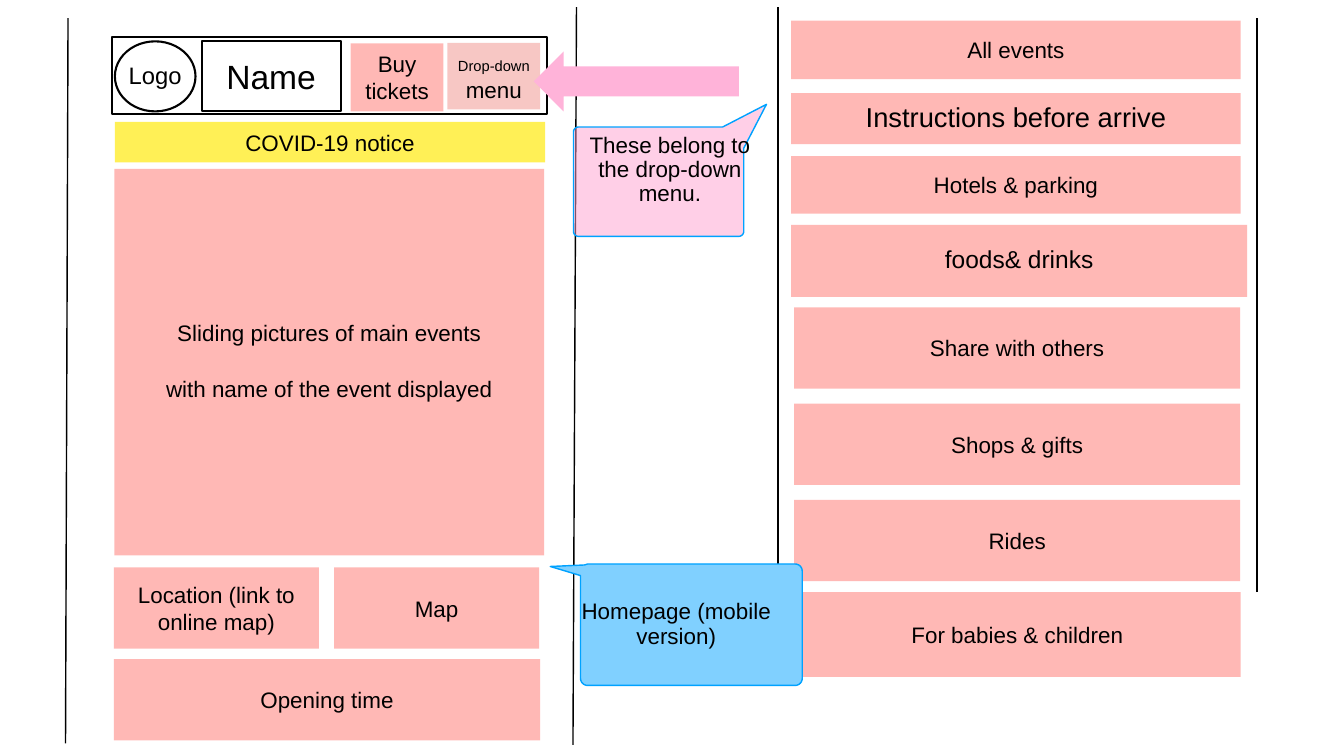
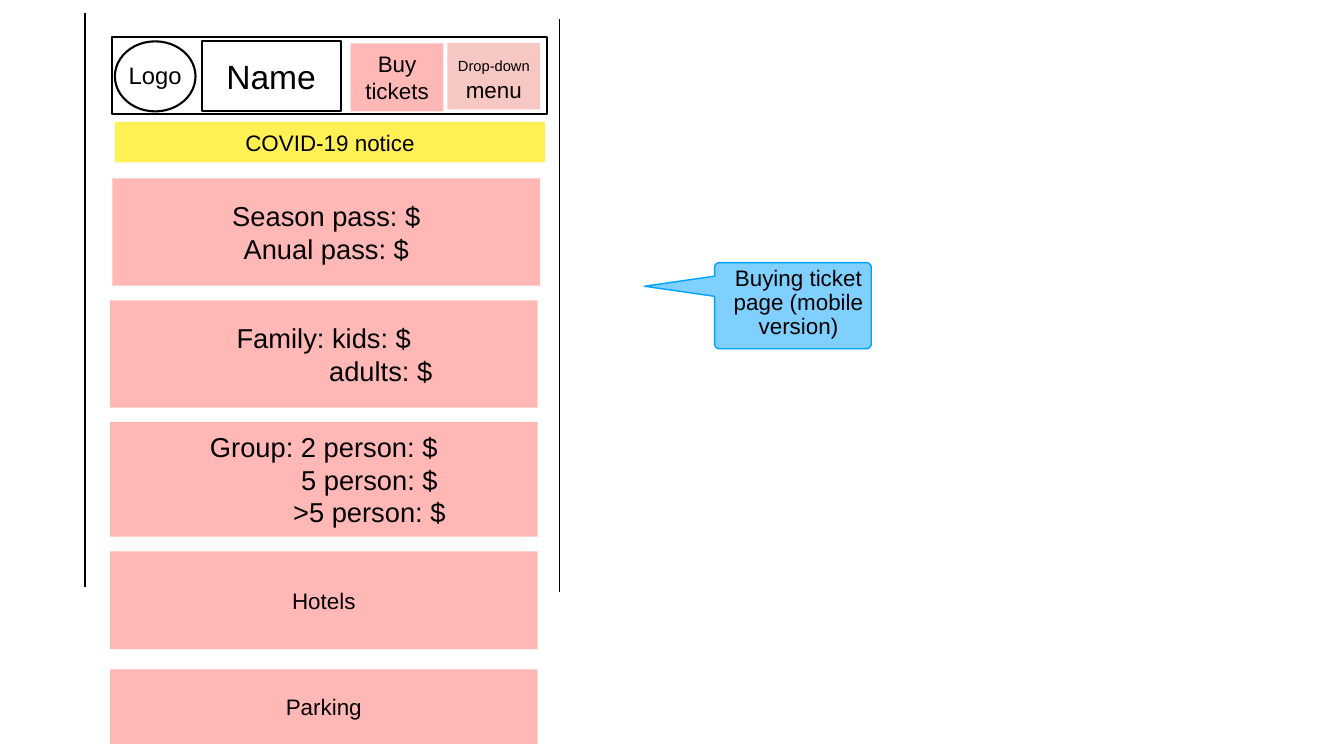
import math

import lxml.etree
import pptx
import pptx.dml.color
import pptx.enum.shapes
import pptx.enum.text
import pptx.oxml.ns
import pptx.util

Inches = pptx.util.Inches
Pt = pptx.util.Pt
SHAPE = pptx.enum.shapes.MSO_SHAPE
FONT = "Arial"
COLORS = {
    "ink": "000000",
    "panel": "FF7E79",
    "menu": "EF837E",
    "notice": "FFF056",
    "arrow": "FFB3D9",
    "page_note": "80D0FF",
    "menu_note": "FFA0D0",
    "note_line": "00A2FF",
}


def rgb(name):
    return pptx.dml.color.RGBColor.from_string(COLORS[name])


def sub(parent, tag, **attrs):
    return lxml.etree.SubElement(parent, pptx.oxml.ns.qn(tag), **attrs)


def paint(sp, fill=None, alpha=100, line=None, width=2):
    sp.shadow.inherit = False
    if fill:
        sp.fill.solid()
        sp.fill.fore_color.rgb = rgb(fill)
        if alpha < 100:
            color = sp.fill._xPr.find(".//" + pptx.oxml.ns.qn("a:srgbClr"))
            sub(color, "a:alpha", val=str(alpha * 1000))
    else:
        sp.fill.background()
    if line:
        sp.line.color.rgb = rgb(line)
        sp.line.width = Pt(width)
    else:
        sp.line.fill.background()


def format_run(r, size):
    r.font.name = FONT
    r.font.size = Pt(size)
    r.font.color.rgb = rgb("ink")


def write(sp, text, size=32, spacing=1.0, wrap=True):
    tf = sp.text_frame
    tf.text = text
    tf.word_wrap = wrap
    tf.vertical_anchor = pptx.enum.text.MSO_ANCHOR.MIDDLE
    tf.margin_left = tf.margin_right = Inches(0.06)
    tf.margin_top = tf.margin_bottom = Inches(0.06)
    for p in tf.paragraphs:
        p.alignment = pptx.enum.text.PP_ALIGN.CENTER
        p.line_spacing = spacing
        for r in p.runs:
            format_run(r, size)
    return tf


def add_preset(s, preset, box, **look):
    sp = s.shapes.add_shape(preset, *map(Inches, box))
    paint(sp, **look)
    return sp


def add_panel(s, box, text, size=32, spacing=1.0, fill="panel", alpha=55):
    sp = add_preset(s, SHAPE.RECTANGLE, box, fill=fill, alpha=alpha)
    return write(sp, text, size, spacing)


def add_rule(s, x1, y1, x2, y2):
    line = s.shapes.add_connector(
        pptx.enum.shapes.MSO_CONNECTOR.STRAIGHT, *map(Inches, (x1, y1, x2, y2)))
    line.line.color.rgb = rgb("ink")
    line.line.width = Pt(2)
    sub(line._element.spPr, "a:effectLst")


def round_corner(x, y, radius, start):
    angles = [math.radians(start + 15 * i) for i in range(7)]
    return [(x + radius * math.cos(a), y + radius * math.sin(a)) for a in angles]


def add_callout(s, body, corner, tail, text, fill, alpha=100, radius=0.1,
                keep_corner=False):
    left, top, right, bottom = body
    x1, x2 = left + radius, right - radius
    y1, y2 = top + radius, bottom - radius
    centers = {"tl": (x1, y1), "tr": (x2, y1), "br": (x2, y2), "bl": (x1, y2)}
    outline = []
    for i, (name, (x, y)) in enumerate(centers.items()):
        if name == corner:
            outline += tail
        if name != corner or keep_corner:
            outline += round_corner(x, y, radius, 180 + 90 * i)
    points = [(Inches(x), Inches(y)) for x, y in outline]
    builder = s.shapes.build_freeform(*points[0])
    builder.add_line_segments(points[1:], close=True)
    sp = builder.convert_to_shape()
    paint(sp, fill, alpha, "note_line")
    return write(sp, text, spacing=0.9)


def add_header(s):
    outline = {"line": "ink", "width": 3}
    add_preset(s, SHAPE.RECTANGLE, (2.23, 0.73, 8.63, 1.53), **outline)
    logo = add_preset(s, SHAPE.OVAL, (2.28, 0.82, 1.6, 1.39), **outline)
    write(logo, "Logo", 34, 0.9, wrap=False)
    name = add_preset(s, SHAPE.RECTANGLE, (4, 0.81, 2.76, 1.39), **outline)
    write(name, "Name", 48, 0.9, wrap=False).margin_top = Inches(0.16)
    add_panel(s, (6.96, 0.86, 1.84, 1.35), "Buy tickets")
    tf = add_panel(s, (8.88, 0.85, 1.84, 1.32), "Drop-down", 21,
                   fill="menu", alpha=45)
    r = tf.paragraphs[0].add_run()
    r.text = " menu"
    format_run(r, 32)
    add_panel(s, (2.28, 2.42, 8.54, 0.8), "COVID-19 notice",
              fill="notice", alpha=100)


def build_homepage(s):
    add_header(s)
    tf = add_panel(
        s, (2.27, 3.35, 8.53, 7.67),
        "Sliding pictures of main events\nwith name of the event displayed",
        spacing=0.9)
    tf.paragraphs[1].space_before = Pt(45)
    for i, text in enumerate(["Location (link to online map)", "Map"]):
        add_panel(s, (2.26 + 4.37 * i, 11.26, 4.07, 1.61), text)
    add_panel(s, (2.26, 13.08, 8.46, 1.61), "Opening time")

    add_panel(s, (15.7, 0.41, 8.92, 1.16), "All events")
    add_panel(s, (15.7, 1.85, 8.92, 1.01), "Instructions before arrive", 39, 0.9)
    add_panel(s, (15.7, 3.1, 8.92, 1.14), "Hotels & parking")
    add_panel(s, (15.7, 4.46, 9.05, 1.43), "foods& drinks", 35, 0.9)
    for i, text in enumerate(["Share with others", "Shops & gifts", "Rides"]):
        add_panel(s, (15.76, 6.1 + 1.91 * i, 8.85, 1.61), text)
    add_panel(s, (15.76, 11.75, 8.86, 1.68), "For babies & children")

    add_rule(s, 11.37, 14.78, 11.44, 0.14)
    add_rule(s, 15.44, 11.53, 15.44, 0.14)
    add_rule(s, 24.94, 11.75, 24.94, 0.36)
    add_rule(s, 1.3, 14.75, 1.35, 0.36)

    add_preset(s, SHAPE.LEFT_ARROW, (10.59, 1.02, 4.07, 1.19), fill="arrow")
    add_callout(s, (11.52, 11.19, 15.92, 13.6), "tl",
                [(11.52, 11.42), (10.92, 11.24), (11.6, 11.21), (11.66, 11.19)],
                "Homepage (mobile version)", "page_note", radius=0.14)
    add_callout(s, (11.38, 2.52, 14.76, 4.69), "tr",
                [(14.34, 2.52), (15.21, 2.07), (14.76, 2.94)],
                "These belong to the drop-down menu.", "menu_note", alpha=50)


def build_ticket_page(s):
    add_header(s)
    add_panel(s, (2.23, 3.54, 8.49, 2.13), "Season pass: $\nAnual pass: $", 39)
    prices = [
        (5.96, 2.13, "Family: kids: $\nadults: $", 2.26),
        (8.37, 2.28, "Group: 2 person: $\n5 person: $\n>5 person: $", 1.81),
    ]
    for top, height, text, indent in prices:
        tf = add_panel(s, (2.18, top, 8.49, height), text, 39)
        for p in tf.paragraphs[1:]:
            p._p.get_or_add_pPr().set("marL", str(Inches(indent)))
    add_panel(s, (2.18, 10.94, 8.49, 1.94), "Hotels")
    add_panel(s, (2.18, 13.28, 8.49, 1.48), "Parking")

    add_rule(s, 11.1, 11.75, 11.1, 0.37)
    add_rule(s, 1.69, 11.65, 1.69, 0.26)
    tf = add_callout(s, (14.18, 5.21, 17.29, 6.92), "tl",
                     [(14.18, 5.88), (12.79, 5.68), (14.18, 5.48)],
                     "Buying ticket page (mobile version)", "page_note",
                     keep_corner=True)
    tf.margin_left = Inches(1.67)
    tf.margin_bottom = Inches(0.16)


def main():
    prs = pptx.Presentation()
    prs.slide_width = Inches(26.67)
    prs.slide_height = Inches(15)
    for build in (build_homepage, build_ticket_page):
        build(prs.slides.add_slide(prs.slide_layouts[6]))
    prs.save("out.pptx")


if __name__ == "__main__":
    main()
